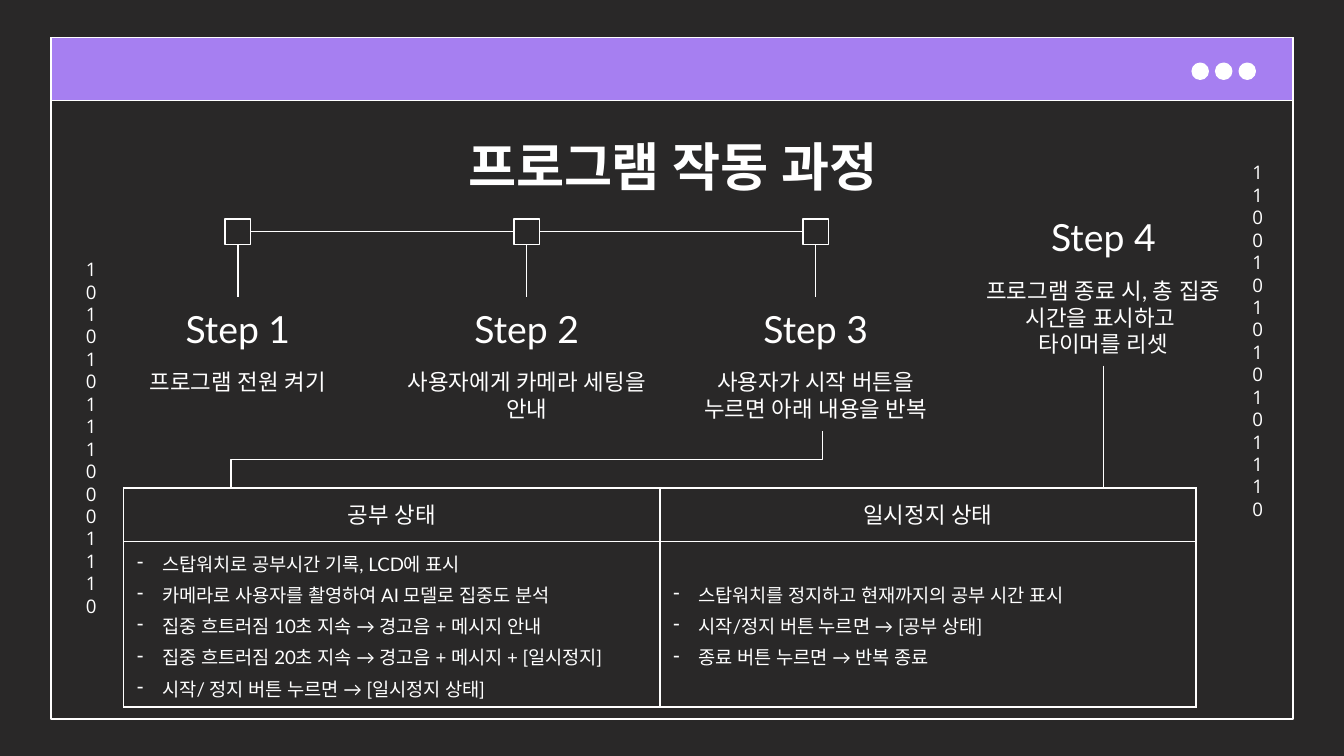
from dataclasses import dataclass

from lxml import etree
from pptx import Presentation
from pptx.dml.color import RGBColor
from pptx.enum.shapes import MSO_CONNECTOR, MSO_SHAPE
from pptx.enum.text import MSO_ANCHOR, MSO_AUTO_SIZE, PP_ALIGN
from pptx.oxml.ns import qn
from pptx.shapes.autoshape import Shape
from pptx.shapes.connector import Connector
from pptx.slide import Slide
from pptx.table import _Cell
from pptx.text.text import TextFrame
from pptx.util import Inches, Pt

RECTANGLE, OVAL = MSO_SHAPE.RECTANGLE, MSO_SHAPE.OVAL
STRAIGHT, ELBOW = MSO_CONNECTOR.STRAIGHT, MSO_CONNECTOR.ELBOW
TOP, MIDDLE, BOTTOM = MSO_ANCHOR.TOP, MSO_ANCHOR.MIDDLE, MSO_ANCHOR.BOTTOM
LEFT, CENTER = PP_ALIGN.LEFT, PP_ALIGN.CENTER
TOP_SIDE, LEFT_SIDE, BOTTOM_SIDE, RIGHT_SIDE = range(4)


@dataclass(frozen=True)
class Theme:
    dark: RGBColor = RGBColor(0x29, 0x28, 0x28)
    purple: RGBColor = RGBColor(0xA6, 0x7F, 0xF1)
    white: RGBColor = RGBColor(0xFF, 0xFF, 0xFF)
    font: str = "Lato"
    digit_font: str = "Open Sans"
    title: int = 28
    step: int = 20
    body: int = 12
    small: int = 10
    line: float = 0.75
    border: float = 1


@dataclass(frozen=True)
class Box:
    left: float
    top: float
    width: float
    height: float

    def lengths(self) -> list[int]:
        return [Inches(value) for value in (self.left, self.top, self.width, self.height)]


@dataclass(frozen=True)
class Step:
    heading: str
    description: str
    center: float
    top: float
    description_height: float = 0.57


@dataclass(frozen=True)
class State:
    heading: str
    actions: tuple[str, ...]


THEME = Theme()
SLIDE_WIDTH = 10
SLIDE_HEIGHT = SLIDE_WIDTH * 9 / 16
FIRST_CENTER, STEP_GAP, STEP_WIDTH = 1.77, 2.15, 1.98
NODE_TOP, NODE_SIZE = 1.63, 0.19
STEPS = [
    Step("Step 1", "프로그램 전원 켜기", FIRST_CENTER, 2.21),
    Step("Step 2", "사용자에게 카메라 세팅을 안내", FIRST_CENTER + STEP_GAP, 2.21),
    Step("Step 3", "사용자가 시작 버튼을 누르면 아래 내용을 반복", FIRST_CENTER + 2 * STEP_GAP, 2.21),
    Step("Step 4", "프로그램 종료 시, 총 집중 시간을 표시하고 \v타이머를 리셋", 8.21, 1.53, 0.76),
]
STATES = [
    State("공부 상태", (
        "스탑워치로 공부시간 기록, LCD에 표시",
        "카메라로 사용자를 촬영하여 AI 모델로 집중도 분석",
        "집중 흐트러짐 10초 지속 → 경고음 + 메시지 안내",
        "집중 흐트러짐 20초 지속 → 경고음 + 메시지 + [일시정지]",
        "시작/ 정지 버튼 누르면 → [일시정지 상태]",
    )),
    State("일시정지 상태", (
        "스탑워치를 정지하고 현재까지의 공부 시간 표시",
        "시작/정지 버튼 누르면 → [공부 상태]",
        "종료 버튼 누르면 → 반복 종료",
    )),
]
TABLE_BOX = Box(0.92, 3.63, 7.98, 1.59)
ROW_HEIGHTS = (0.4, 1.19)


def write_text(frame: TextFrame, text: str, size: int, font: str = THEME.font,
               bold: bool = False, alignment: PP_ALIGN = CENTER) -> None:
    frame.text = text
    for paragraph in frame.paragraphs:
        paragraph.alignment = alignment
        for run in paragraph.runs:
            for name, value in {"name": font, "size": Pt(size), "bold": bold}.items():
                setattr(run.font, name, value)
            run.font.color.rgb = THEME.white
            run.font._element.set("kern", "0")
            etree.SubElement(run.font._element, qn("a:ea"), typeface=font)


def format_frame(frame: TextFrame, anchor: MSO_ANCHOR) -> None:
    values = {"word_wrap": True, "auto_size": MSO_AUTO_SIZE.NONE, "vertical_anchor": anchor}
    values |= {f"margin_{side}": Inches(0.1) for side in ("left", "top", "right", "bottom")}
    for name, value in values.items():
        setattr(frame, name, value)


def add_text(slide: Slide, box: Box, text: str, size: int,
             anchor: MSO_ANCHOR = TOP, font: str = THEME.font) -> Shape:
    shape = slide.shapes.add_textbox(*box.lengths())
    format_frame(shape.text_frame, anchor)
    write_text(shape.text_frame, text, size, font)
    return shape


def add_outlined(slide: Slide, kind: MSO_SHAPE, box: Box, fill: RGBColor | None = None) -> Shape:
    shape = slide.shapes.add_shape(kind, *box.lengths())
    shape.shadow.inherit = False
    if fill is None:
        shape.fill.background()
    else:
        shape.fill.solid()
        shape.fill.fore_color.rgb = fill
    shape.line.color.rgb = THEME.white
    shape.line.width = Pt(THEME.line)
    return shape


def add_line(slide: Slide, start: tuple[float, float] = (0, 0), end: tuple[float, float] = (0, 0),
             kind: MSO_CONNECTOR = STRAIGHT) -> Connector:
    connector = slide.shapes.add_connector(kind, *[Inches(value) for value in (*start, *end)])
    connector.line.color.rgb = THEME.white
    connector.line.width = Pt(THEME.line)
    etree.SubElement(connector._element.spPr, qn("a:effectLst"))
    return connector


def join(slide: Slide, first: Shape, first_side: int, second: Shape, second_side: int) -> None:
    connector = add_line(slide)
    connector.begin_connect(first, first_side)
    connector.end_connect(second, second_side)


def add_window(slide: Slide) -> None:
    add_outlined(slide, RECTANGLE, Box(0.38, 0.28, 9.24, 5.07))
    add_outlined(slide, RECTANGLE, Box(0.38, 0.28, 9.24, 0.47), THEME.purple)
    for index in range(3):
        add_outlined(slide, OVAL, Box(8.87 + 0.175 * index, 0.47, 0.12, 0.12), THEME.white)
    for left, top, digits in ((9.22, 1.1, "1100101010101110"), (0.54, 1.82, "101010111000111\n0")):
        add_text(slide, Box(left, top, 0.24, 2.8), digits, THEME.small, font=THEME.digit_font)


def add_step(slide: Slide, step: Step) -> tuple[Shape, Shape]:
    left = step.center - STEP_WIDTH / 2
    heading = add_text(slide, Box(left, step.top, STEP_WIDTH, 0.5), step.heading, THEME.step, BOTTOM)
    description = add_text(slide, Box(left, step.top + 0.43, STEP_WIDTH, step.description_height),
                           step.description, THEME.body)
    return heading, description


def format_cell(cell: _Cell) -> None:
    cell.vertical_anchor = MIDDLE
    properties = cell._tc.get_or_add_tcPr()
    for side in ("L", "R", "T", "B"):
        border = etree.SubElement(properties, qn(f"a:ln{side}"), w=str(Pt(THEME.border)))
        fill = etree.SubElement(border, qn("a:solidFill"))
        etree.SubElement(fill, qn("a:srgbClr"), val=str(THEME.white))
    cell.fill.background()


def add_states(slide: Slide) -> None:
    table = slide.shapes.add_table(2, len(STATES), *TABLE_BOX.lengths()).table
    table.first_row = table.horz_banding = False
    for row, height in zip(table.rows, ROW_HEIGHTS):
        row.height = Inches(height)
    for column, state in enumerate(STATES):
        heading, body = table.cell(0, column), table.cell(1, column)
        write_text(heading.text_frame, state.heading, THEME.body)
        write_text(body.text_frame, "\n".join(state.actions), THEME.small, alignment=LEFT)
        for index, paragraph in enumerate(body.text_frame.paragraphs):
            properties = paragraph._p.get_or_add_pPr()
            properties.set("marL", str(Inches(0.19)))
            properties.set("indent", str(Inches(-0.19)))
            color = etree.SubElement(properties, qn("a:buClr"))
            etree.SubElement(color, qn("a:srgbClr"), val=str(THEME.white))
            etree.SubElement(properties, qn("a:buChar"), char="-")
            paragraph.line_spacing = 1.2
            paragraph.space_before = Pt(1.2 if index else 0)
            paragraph.space_after = Pt(1.2)
        format_cell(heading)
        format_cell(body)


def main() -> None:
    presentation = Presentation()
    presentation.slide_width, presentation.slide_height = Inches(SLIDE_WIDTH), Inches(SLIDE_HEIGHT)
    slide = presentation.slides.add_slide(presentation.slide_layouts[5])
    slide.background.fill.solid()
    slide.background.fill.fore_color.rgb = THEME.dark
    add_window(slide)

    title = slide.shapes.title
    title.left, title.top, title.width, title.height = Box(0.79, 0.9, 8.43, 0.63).lengths()
    format_frame(title.text_frame, TOP)
    write_text(title.text_frame, "프로그램 작동 과정", THEME.title, bold=True)

    nodes = [add_outlined(slide, RECTANGLE, Box(step.center - NODE_SIZE / 2, NODE_TOP, NODE_SIZE, NODE_SIZE),
                          THEME.dark) for step in STEPS[:3]]
    step_texts = [add_step(slide, step) for step in STEPS]
    for node, following in zip(nodes, nodes[1:]):
        join(slide, node, RIGHT_SIDE, following, LEFT_SIDE)
    for node, (heading, _) in zip(nodes, step_texts):
        join(slide, node, BOTTOM_SIDE, heading, TOP_SIDE)
    exit_line = add_line(slide, (8.21, 2.72), (8.21, TABLE_BOX.top))
    exit_line.begin_connect(step_texts[-1][1], BOTTOM_SIDE)

    loop_line = add_line(slide, (3.71, 1.22), (4.13, 5.62), ELBOW)
    loop_line._element.spPr.find(qn("a:xfrm")).set("rot", "5400000")
    add_states(slide)
    presentation.save("out.pptx")


if __name__ == "__main__":
    main()
